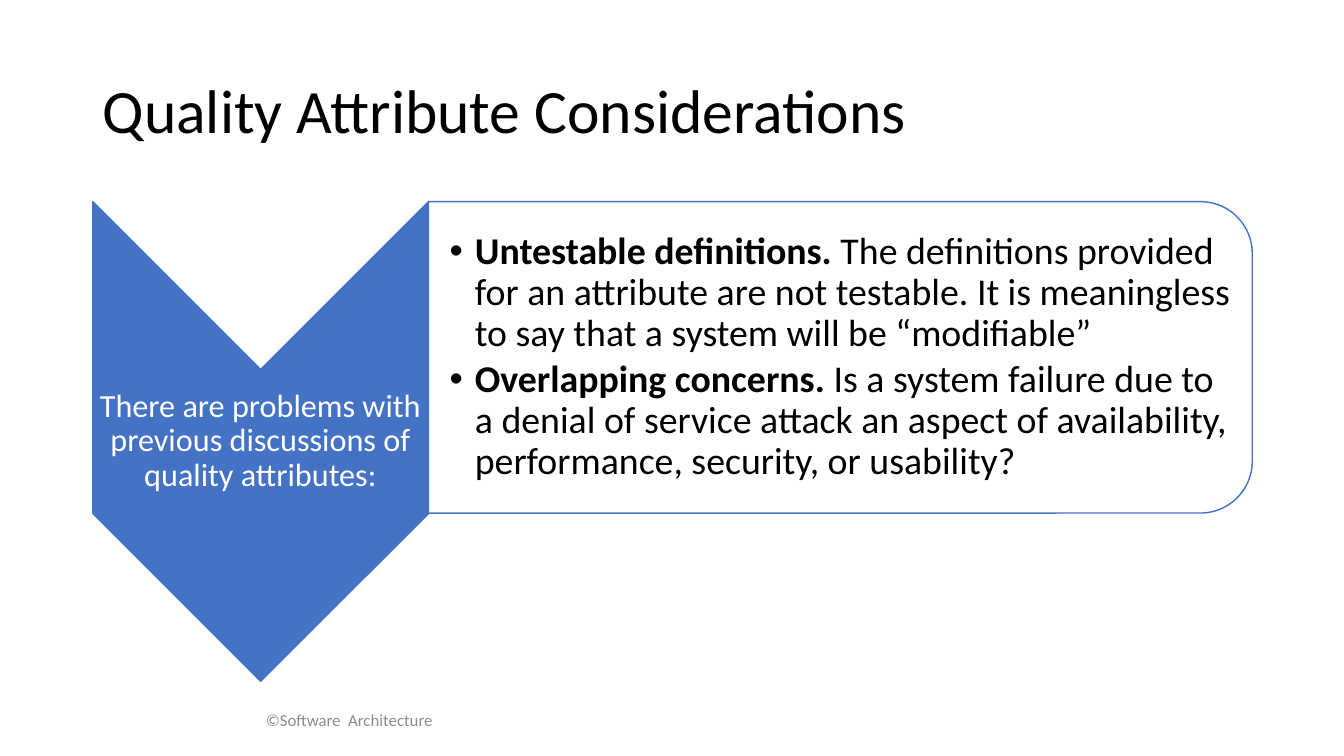
from lxml import etree
from pptx import Presentation
from pptx.dml.color import RGBColor
from pptx.enum.shapes import MSO_SHAPE as SHAPE
from pptx.enum.text import MSO_ANCHOR as ANCHOR, PP_ALIGN as ALIGN
from pptx.oxml.ns import qn
from pptx.util import Inches, Pt

FONT = "Calibri"
COLORS = {"blue": "4472C4", "white": "FFFFFF", "black": "000000", "gray": "8C8C8C"}
PROBLEMS = [
    ("Untestable definitions. ",
     "The definitions provided for an attribute are not testable. "
     "It is meaningless to say that a system will be “modifiable”"),
    ("Overlapping concerns. ",
     "Is a system failure due to a denial of service attack an aspect of "
     "availability, performance, security, or usability?"),
]


def rgb(name):
    return RGBColor.from_string(COLORS[name])


def add_run(p, text, size, color, bold=False):
    r = p.add_run()
    r.text = text
    r.font.name = FONT
    r.font.size = Pt(size)
    r.font.bold = bold
    r.font.color.rgb = rgb(color)


def add_frame(s, box, margins=(0.1, 0.05, 0.1, 0.05)):
    tf = s.shapes.add_textbox(*map(Inches, box)).text_frame
    tf.word_wrap = True
    tf.vertical_anchor = ANCHOR.MIDDLE
    (tf.margin_left, tf.margin_top,
     tf.margin_right, tf.margin_bottom) = map(Inches, margins)
    return tf


def add_turned_shape(s, kind, box, fill):
    """Place a shape turned a quarter clockwise so that it covers the box."""
    x, y, w, h = box
    sp = s.shapes.add_shape(kind, Inches(x + (w - h) / 2), Inches(y + (h - w) / 2),
                            Inches(h), Inches(w))
    sp.rotation = 90
    sp.shadow.inherit = False
    sp.fill.solid()
    sp.fill.fore_color.rgb = rgb(fill)
    sp.line.color.rgb = rgb("blue")
    sp.line.width = Pt(1)
    return sp


def set_bullet(p, indent):
    pPr = p._p.get_or_add_pPr()
    pPr.set("marL", str(Inches(indent)))
    pPr.set("indent", str(-Inches(indent)))
    etree.SubElement(pPr, qn("a:buFont")).set("typeface", "Arial")
    etree.SubElement(pPr, qn("a:buChar")).set("char", "•")


def add_line(s, box, text, size, color, align):
    p = add_frame(s, box).paragraphs[0]
    p.alignment = align
    p.line_spacing = 0.9
    add_run(p, text, size, color)


def add_chevron(s, box, text):
    x, y, w, h = box
    add_turned_shape(s, SHAPE.CHEVRON, box, "blue")
    # The label fills the band between the notch and the lower corners
    notch = w / 2
    tf = add_frame(s, (x, y + notch, w, h - 2 * notch), (0.02,) * 4)
    p = tf.paragraphs[0]
    p.alignment = ALIGN.CENTER
    p.line_spacing = 0.9
    add_run(p, text, 23, "white")


def add_problem_panel(s, box, problems):
    x, y, w, h = box
    sp = add_turned_shape(s, SHAPE.ROUND_2_SAME_RECTANGLE, box, "white")
    color = sp.fill._xPr.find(qn("a:solidFill"))[0]
    etree.SubElement(color, qn("a:alpha")).set("val", "90000")
    # The text stays clear of the rounded corners
    inset = 0.15
    tf = add_frame(s, (x, y + inset, w - inset, h - 2 * inset),
                   (0.21, 0.02, 0.02, 0.02))
    for i, (term, detail) in enumerate(problems):
        p = tf.add_paragraph() if i else tf.paragraphs[0]
        p.line_spacing = 0.9
        p.space_after = Pt(4)
        set_bullet(p, 0.25)
        add_run(p, term, 27, "black", bold=True)
        add_run(p, detail, 27, "black")


def main():
    prs = Presentation()
    prs.slide_width, prs.slide_height = Inches(13.33), Inches(7.5)
    s = prs.slides.add_slide(prs.slide_layouts[6])

    # Title
    add_line(s, (0.92, 0.4, 11.5, 1.45), "Quality Attribute Considerations",
             44, "black", ALIGN.LEFT)

    # Chevron and the problems beside it
    left, top, chevron_w = 0.92, 2, 3.33
    add_chevron(s, (left, top, chevron_w, 4.76),
                "There are problems with previous discussions of quality attributes:")
    add_problem_panel(s, (left + chevron_w, top, 8.17, 3.09), PROBLEMS)

    # Footer
    add_line(s, (0, 6.95, 6.93, 0.4), "©Software  Architecture",
             12, "gray", ALIGN.CENTER)

    prs.save("out.pptx")


if __name__ == "__main__":
    main()
